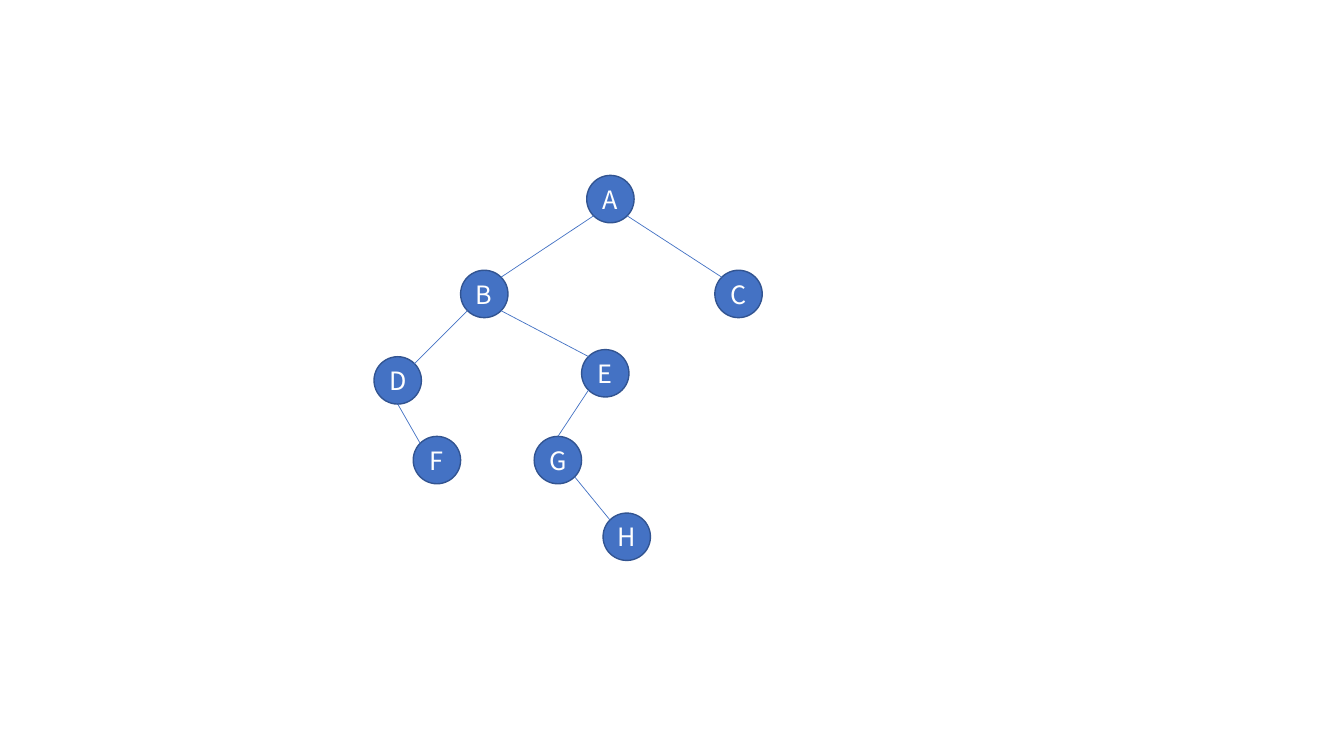
import math

import pptx
import pptx.dml.color
import pptx.enum.shapes
import pptx.enum.text
import pptx.oxml.ns
import pptx.util
from lxml import etree

SLIDE_WIDTH, SLIDE_HEIGHT = 13.33, 7.5
TREE_BOX = (3.71, 1.74, 3.85, 3.82)
DIAMETER = 0.47
NODE_FILL, NODE_LINE, EDGE_LINE, LABEL = "4472C4", "325491", "4472C4", "FFFFFF"
LABEL_FORMAT = {"name": "Noto Sans CJK SC", "size": pptx.util.Pt(18)}
FRAME_FORMAT = {
    "margin_left": 0, "margin_right": 0, "margin_top": 0, "margin_bottom": 0,
    "word_wrap": True, "vertical_anchor": pptx.enum.text.MSO_ANCHOR.MIDDLE,
}

# Percent of the room left in the tree box beside one node: across, down
NODES = {
    "A": (62.4, 0), "B": (25.4, 28.1), "H": (67.2, 100), "C": (100, 28.1),
    "E": (60.9, 51.6), "D": (0, 53.7), "F": (11.5, 77.3), "G": (47, 77.3),
}
# Angles on a node's rim, in degrees clockwise from its right side
RIM = {"bottom right": 45, "bottom": 90, "bottom left": 135,
       "top left": 225, "top": 270, "top right": 315}
EDGES = [
    ("A", "bottom left", "B", "top right"),
    ("B", "bottom left", "D", "top right"),
    ("D", "bottom", "F", "top left"),
    ("B", "bottom right", "E", "top left"),
    ("A", "bottom right", "C", "top left"),
    ("G", "bottom right", "H", "top left"),
    ("E", "bottom left", "G", "top"),
]


def colour(value):
    return pptx.dml.color.RGBColor.from_string(value)


def apply_format(target, values):
    for name, value in values.items():
        setattr(target, name, value)


def add_node(page, letter, centre):
    corner = [pptx.util.Inches(value - DIAMETER / 2) for value in centre]
    size = pptx.util.Inches(DIAMETER)
    node = page.shapes.add_shape(
        pptx.enum.shapes.MSO_SHAPE.OVAL, *corner, size, size)
    node.shadow.inherit = False
    node.fill.solid()
    node.fill.fore_color.rgb = colour(NODE_FILL)
    node.line.color.rgb = colour(NODE_LINE)
    node.line.width = pptx.util.Pt(1)
    apply_format(node.text_frame, FRAME_FORMAT)
    para = node.text_frame.paragraphs[0]
    para.alignment = pptx.enum.text.PP_ALIGN.CENTER
    span = para.add_run()
    span.text = letter
    apply_format(span.font, LABEL_FORMAT)
    span.font.color.rgb = colour(LABEL)


def rim_point(centre, place):
    angle = math.radians(RIM[place])
    return [pptx.util.Inches(middle + DIAMETER / 2 * turn)
            for middle, turn in zip(centre, (math.cos(angle), math.sin(angle)))]


def add_edge(page, start, end):
    edge = page.shapes.add_connector(
        pptx.enum.shapes.MSO_CONNECTOR.STRAIGHT, *start, *end)
    edge.line.color.rgb = colour(EDGE_LINE)
    edge.line.width = pptx.util.Pt(0.5)
    etree.SubElement(edge._element.spPr, pptx.oxml.ns.qn("a:effectLst"))


def add_tree(page, box):
    left, top, width, height = box
    centres = {
        letter: (left + DIAMETER / 2 + (width - DIAMETER) * across / 100,
                 top + DIAMETER / 2 + (height - DIAMETER) * down / 100)
        for letter, (across, down) in NODES.items()
    }
    for letter, centre in centres.items():
        add_node(page, letter, centre)
    for parent, leaving, child, arriving in EDGES:
        add_edge(page, rim_point(centres[parent], leaving),
                 rim_point(centres[child], arriving))


def main():
    deck = pptx.Presentation()
    deck.slide_width = pptx.util.Inches(SLIDE_WIDTH)
    deck.slide_height = pptx.util.Inches(SLIDE_HEIGHT)
    page = deck.slides.add_slide(deck.slide_layouts[6])
    add_tree(page, TREE_BOX)
    deck.save("out.pptx")


if __name__ == "__main__":
    main()
